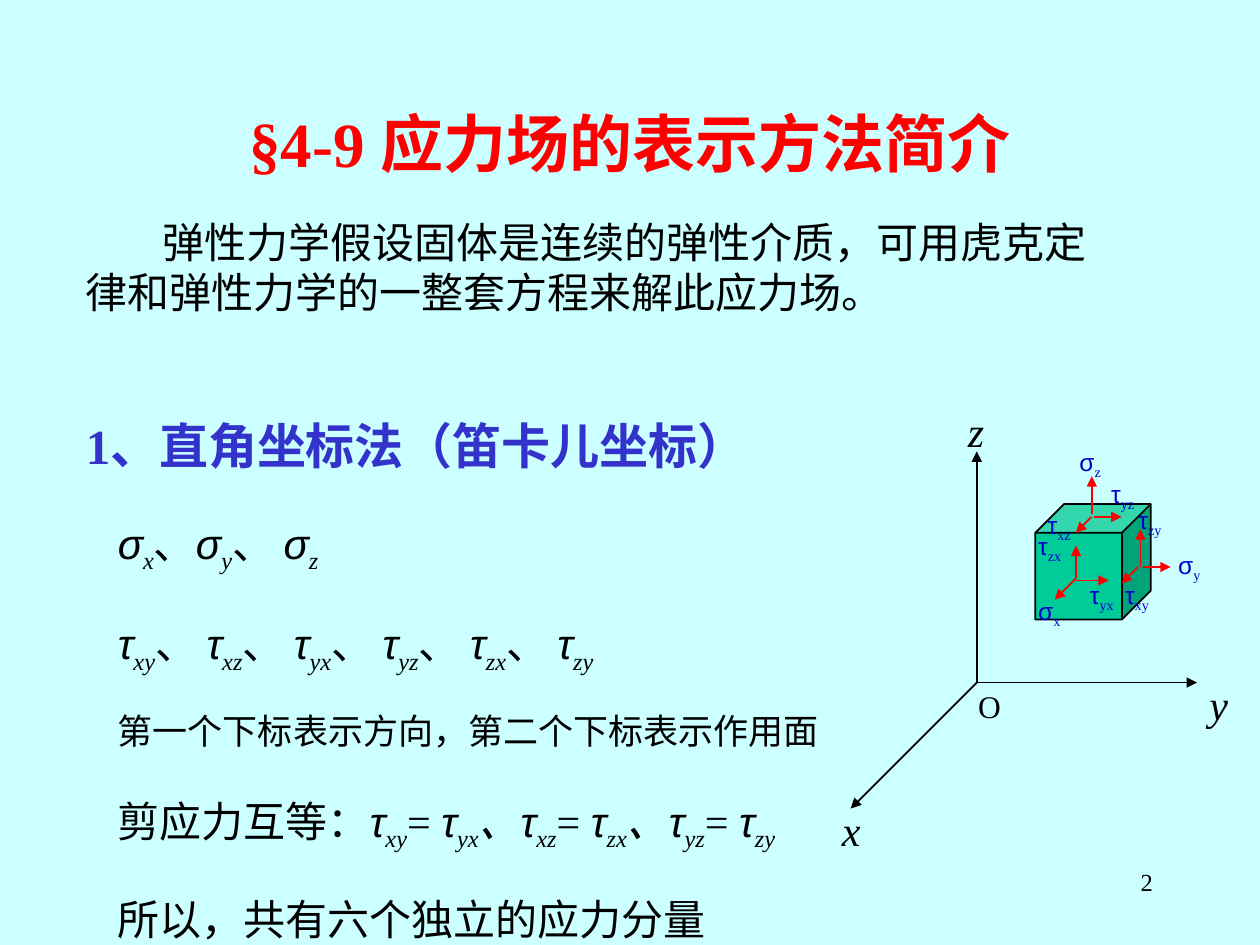
"""Build the slide on describing a stress field in Cartesian coordinates."""
import lxml.etree
import pptx
import pptx.dml.color
import pptx.enum.shapes
import pptx.enum.text
import pptx.oxml.ns
import pptx.util
from pptx.util import Cm

THEME = {
    "serif": "Times New Roman", "symbol": "Arial",
    "background": "CCFFFF", "title": "FF0000", "heading": "3333CC", "ink": "000000",
    "label": "0000CC", "arrow": "FF0000", "cube": "00CC99",
    "title_size": 36, "heading_size": 28, "text_size": 24, "note_size": 20,
    "origin_size": 18, "small_size": 14, "line_width": 1,
}

TITLE = "§4-9 应力场的表示方法简介"
INTRO = "弹性力学假设固体是连续的弹性介质，可用虎克定律和弹性力学的一整套方程来解此应力场。"
HEADING = "1、直角坐标法（笛卡儿坐标）"
PAGE_NUMBER = "2"

# Strings are upright text; pairs are an italic base and its subscript.
NORMAL = [("σ", "x"), "、", ("σ", "y"), "、 ", ("σ", "z")]
SHEAR = [("τ", "xy"), "、 ", ("τ", "xz"), "、 ", ("τ", "yx"), "、 ",
         ("τ", "yz"), "、 ", ("τ", "zx"), "、 ", ("τ", "zy")]
EQUAL = ["剪应力互等：", ("τ", "xy"), "= ", ("τ", "yx"), ("、", ""),
         ("τ", "xz"), "= ", ("τ", "zx"), ("、", ""), ("τ", "yz"), "= ", ("τ", "zy")]
BODY = [
    (NORMAL, "text_size", 15),
    (SHEAR, "text_size", 15),
    (["第一个下标表示方向，第二个下标表示作用面"], "note_size", 12.5),
    (EQUAL, "text_size", 15),
    (["所以，共有六个独立的应力分量"], "text_size", 15),
]

ORIGIN = (19.69, 13.76)
AXES = [
    ("x", (17.15, 16.3), (16.72, 16.09)),
    ("y", (24.13, 13.76), (24.13, 13.55)),
    ("z", (19.69, 9.1), (19.26, 8.04)),
]
CUBE = (20.87, 10.16, 2.33, 2.33)
STRESS_ARROWS = [
    ((22.01, 10.37), (22.01, 9.6)), ((22.05, 10.42), (22.61, 10.42)), ((22, 10.42), (21.69, 10.74)),
    ((21.69, 11.7), (22.35, 11.7)), ((21.69, 11.66), (21.69, 11)), ((21.69, 11.66), (21.26, 12.09)),
    ((22.99, 11.43), (22.99, 10.67)), ((23.04, 11.43), (23.6, 11.43)), ((22.94, 11.43), (22.61, 11.76)),
]
STRESS_LABELS = [
    (("σ", "z"), 21.51, 8.89), (("τ", "yz"), 22.15, 9.53), (("τ", "xz"), 20.87, 10.16),
    (("σ", "x"), 20.68, 11.89), (("τ", "yx"), 21.72, 11.56), (("τ", "zx"), 20.68, 10.58),
    (("σ", "y"), 23.5, 10.97), (("τ", "zy"), 22.7, 10.05), (("τ", "xy"), 22.43, 11.56),
]


def colour(role):
    return pptx.dml.color.RGBColor.from_string(THEME[role])


def place(shape, left, top, width, height):
    shape.left, shape.top, shape.width, shape.height = map(Cm, (left, top, width, height))


def style(para, size, role="ink", bold=False, italic=False):
    font = para.font
    font.name, font.size = THEME["serif"], pptx.util.Pt(THEME[size])
    font.bold, font.italic = bold, italic
    font.color.rgb = colour(role)


def add_span(para, text, font_role="serif", italic=False, lowered=False):
    span = para.add_run()
    span.text = text
    span.font.name, span.font.italic = THEME[font_role], italic
    if lowered:
        span.font._element.set("baseline", "-25000")


def add_pieces(para, pieces, italic):
    for piece in pieces:
        if isinstance(piece, str):
            add_span(para, piece)
            continue
        base, index = piece
        add_span(para, base, "symbol" if index else "serif", italic)
        if index:
            add_span(para, index, "serif", italic, lowered=True)


def add_text(shapes, frame, text, size, **look):
    box = shapes.add_textbox(*map(Cm, frame))
    box.text_frame.word_wrap = True
    para = box.text_frame.paragraphs[0]
    para.text = text
    style(para, size, **look)
    return para


def add_arrow(shapes, start, end, role):
    arrow = shapes.add_connector(pptx.enum.shapes.MSO_CONNECTOR.STRAIGHT, *map(Cm, start + end))
    arrow.line.color.rgb = colour(role)
    arrow.line.width = pptx.util.Pt(THEME["line_width"])
    name = pptx.oxml.ns.qn
    lxml.etree.SubElement(arrow.line._get_or_add_ln(), name("a:tailEnd"), type="triangle")
    lxml.etree.SubElement(arrow._element.spPr, name("a:effectLst"))


def fill_title(title):
    place(title, 1.9, 1.27, 21.59, 3.18)
    frame = title.text_frame
    frame.auto_size = pptx.enum.text.MSO_AUTO_SIZE.NONE
    frame.vertical_anchor = pptx.enum.text.MSO_ANCHOR.MIDDLE
    para = frame.paragraphs[0]
    para.text = TITLE
    para.alignment = pptx.enum.text.PP_ALIGN.CENTER
    style(para, "title_size", "title", bold=True)


def fill_body(body):
    place(body, 2.12, 9.95, 14.9, 10.72)
    frame = body.text_frame
    frame.auto_size = pptx.enum.text.MSO_AUTO_SIZE.NONE
    for number, (pieces, size, space) in enumerate(BODY):
        para = frame.add_paragraph() if number else frame.paragraphs[0]
        para.line_spacing, para.space_before = 1.3, pptx.util.Pt(space)
        properties = para._p.get_or_add_pPr()
        properties.set("marL", str(Cm(0.81)))
        properties.set("indent", str(-Cm(0.81)))
        lxml.etree.SubElement(properties, pptx.oxml.ns.qn("a:buNone"))
        style(para, size)
        add_pieces(para, pieces, italic=True)


def draw_diagram(shapes):
    for name, end, (left, top) in AXES:
        add_arrow(shapes, ORIGIN, end, "ink")
        add_text(shapes, (left, top, 0.85, 1.27), name, "text_size", italic=True)
    cube = shapes.add_shape(pptx.enum.shapes.MSO_SHAPE.CUBE, *map(Cm, CUBE))
    cube.shadow.inherit = False
    cube.fill.solid()
    cube.fill.fore_color.rgb = colour("cube")
    cube.line.color.rgb = colour("ink")
    cube.line.width = pptx.util.Pt(THEME["line_width"])
    for start, end in STRESS_ARROWS:
        add_arrow(shapes, start, end, "arrow")
    for piece, left, top in STRESS_LABELS:
        para = add_text(shapes, (left, top, 1.07, 0.93), "", "small_size", role="label")
        add_pieces(para, [piece], italic=False)
    add_text(shapes, (19.47, 13.72, 1.69, 1.02), "O", "origin_size")


def main():
    deck = pptx.Presentation()
    deck.slide_width, deck.slide_height = Cm(25.4), Cm(19.05)
    page = deck.slides.add_slide(deck.slide_layouts[1])
    page.background.fill.solid()
    page.background.fill.fore_color.rgb = colour("background")
    number = add_text(page.shapes, (18.21, 17.35, 5.28, 1.27), PAGE_NUMBER, "small_size")
    number.alignment = pptx.enum.text.PP_ALIGN.RIGHT
    fill_title(page.shapes.title)
    intro = add_text(page.shapes, (1.48, 4.23, 21.38, 2.29), INTRO, "text_size")
    intro._p.get_or_add_pPr().set("indent", str(Cm(1.54)))
    add_text(page.shapes, (1.48, 8.26, 16.72, 1.9), HEADING, "heading_size", role="heading", bold=True)
    fill_body(page.placeholders[1])
    draw_diagram(page.shapes.add_group_shape().shapes)
    deck.save("out.pptx")


if __name__ == "__main__":
    main()
